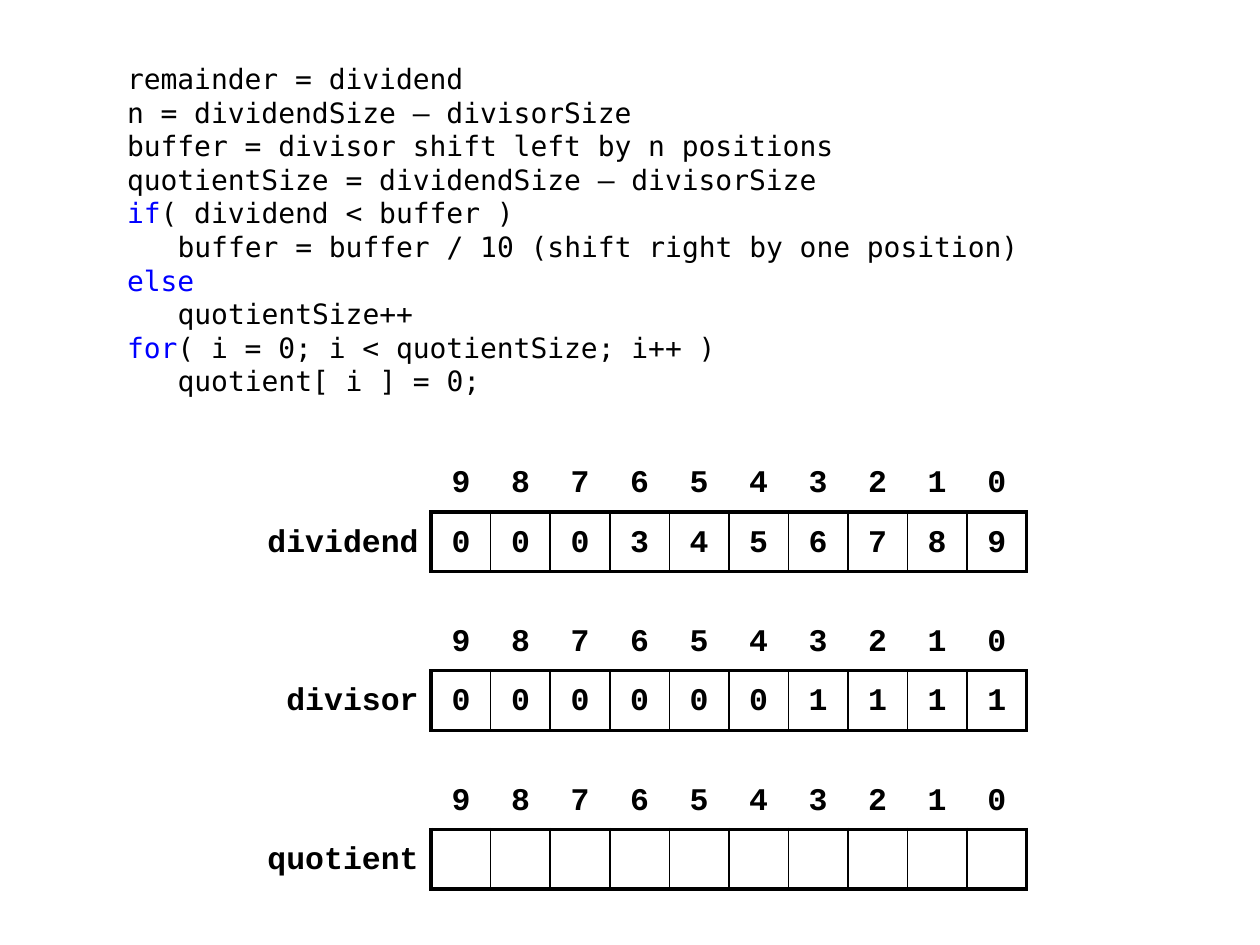
from dataclasses import dataclass

from lxml.etree import SubElement
from pptx import Presentation
from pptx.dml.color import RGBColor
from pptx.enum.text import MSO_ANCHOR, PP_ALIGN
from pptx.oxml.ns import qn
from pptx.util import Pt

COLORS = {"text": "000000", "keyword": "0000FF", "border": "000000"}
CODE_FONT = "DejaVu Sans Mono"
TABLE_FONT = "Courier New"
NO_STYLE = "{2D5ABB26-0587-4C30-8999-92F81FD0307C}"

DIGIT_COUNT = 10
LABEL_WIDTH, CELL_SIZE = 113.2, 34.04
TABLE_LEFT, FIRST_TOP, TABLE_STEP = 133.2, 258.5, 90.75
THICK, THIN = 2.25, 1
CODE_INDENT = 28.9


@dataclass
class CodeLine:
    text: str
    keyword: str = ""
    level: int = 0


@dataclass
class Register:
    label: str
    digits: str = ""


CODE = [
    CodeLine("remainder = dividend"),
    CodeLine("n = dividendSize – divisorSize"),
    CodeLine("buffer = divisor shift left by n positions"),
    CodeLine("quotientSize = dividendSize – divisorSize"),
    CodeLine("( dividend < buffer )", keyword="if"),
    CodeLine("buffer = buffer / 10 (shift right by one position)", level=1),
    CodeLine("", keyword="else"),
    CodeLine("quotientSize++", level=1),
    CodeLine("( i = 0; i < quotientSize; i++ )", keyword="for"),
    CodeLine("quotient[ i ] = 0;", level=1),
]
REGISTERS = [
    Register("dividend", "0003456789"),
    Register("divisor", "0000001111"),
    Register("quotient"),
]


def add_text(paragraph, text: str, *, font: str, size: float,
             color: str = "text", bold: bool = False) -> None:
    """Append one formatted run to a paragraph."""
    run = paragraph.add_run()
    run.text = text
    run.font.name = font
    run.font.size = Pt(size)
    run.font.bold = bold
    run.font.color.rgb = RGBColor.from_string(COLORS[color])


def add_code(slide, lines: list[CodeLine]) -> None:
    box = slide.shapes.add_textbox(Pt(65.5), Pt(31.7), Pt(589.7), Pt(203.8))
    frame = box.text_frame
    frame.word_wrap = True
    for index, line in enumerate(lines):
        paragraph = frame.add_paragraph() if index else frame.paragraphs[0]
        paragraph.line_spacing = Pt(19.2)
        if line.level:
            properties = paragraph._p.get_or_add_pPr()
            properties.set("marL", str(Pt(CODE_INDENT * line.level)))
            properties.set("indent", "0")
        if line.keyword:
            add_text(paragraph, line.keyword, font=CODE_FONT, size=16, color="keyword")
        if line.text:
            add_text(paragraph, line.text, font=CODE_FONT, size=16)


def set_borders(cell, **widths: float) -> None:
    """Draw the given sides (L, R, T, B) in schema order."""
    properties = cell._tc.get_or_add_tcPr()
    sides = [side for side in "LRTB" if side in widths]
    for position, side in enumerate(sides):
        line = SubElement(properties, qn(f"a:ln{side}"), w=str(Pt(widths[side])))
        fill = SubElement(line, qn("a:solidFill"))
        SubElement(fill, qn("a:srgbClr"), val=COLORS["border"])
        properties.insert(position, line)


def fill_cell(cell, text: str, alignment: PP_ALIGN) -> None:
    cell.fill.background()
    cell.vertical_anchor = MSO_ANCHOR.TOP
    cell.margin_left = cell.margin_right = Pt(7.2)
    cell.margin_top = cell.margin_bottom = Pt(2.9)
    paragraph = cell.text_frame.paragraphs[0]
    paragraph.alignment = alignment
    if text:
        paragraph.line_spacing = 1.25
        add_text(paragraph, text, font=TABLE_FONT, size=18, bold=True)


def add_register(slide, register: Register, top: float) -> None:
    width = LABEL_WIDTH + DIGIT_COUNT * CELL_SIZE
    table = slide.shapes.add_table(
        2, DIGIT_COUNT + 1, Pt(TABLE_LEFT), Pt(top), Pt(width), Pt(2 * CELL_SIZE)
    ).table
    table.first_row = table.horz_banding = False
    table._tbl.tblPr.find(qn("a:tableStyleId")).text = NO_STYLE
    for row in table.rows:
        row.height = Pt(CELL_SIZE)
    for index, column in enumerate(table.columns):
        column.width = Pt(CELL_SIZE if index else LABEL_WIDTH)

    # Label column
    fill_cell(table.cell(0, 0), "", PP_ALIGN.RIGHT)
    fill_cell(table.cell(1, 0), register.label, PP_ALIGN.RIGHT)
    set_borders(table.cell(1, 0), R=THICK)

    # Position numbers above the boxed digits
    digits = register.digits or [""] * DIGIT_COUNT
    for column, digit in enumerate(digits, start=1):
        fill_cell(table.cell(0, column), str(DIGIT_COUNT - column), PP_ALIGN.CENTER)
        cell = table.cell(1, column)
        fill_cell(cell, digit, PP_ALIGN.CENTER)
        set_borders(cell, L=THICK if column == 1 else THIN,
                    R=THICK if column == DIGIT_COUNT else THIN,
                    T=THICK, B=THICK)


def main() -> None:
    presentation = Presentation()
    presentation.slide_width, presentation.slide_height = Pt(720), Pt(540)
    slide = presentation.slides.add_slide(presentation.slide_layouts[6])
    add_code(slide, CODE)
    for index, register in enumerate(REGISTERS):
        add_register(slide, register, FIRST_TOP + index * TABLE_STEP)
    presentation.save("out.pptx")


if __name__ == "__main__":
    main()
